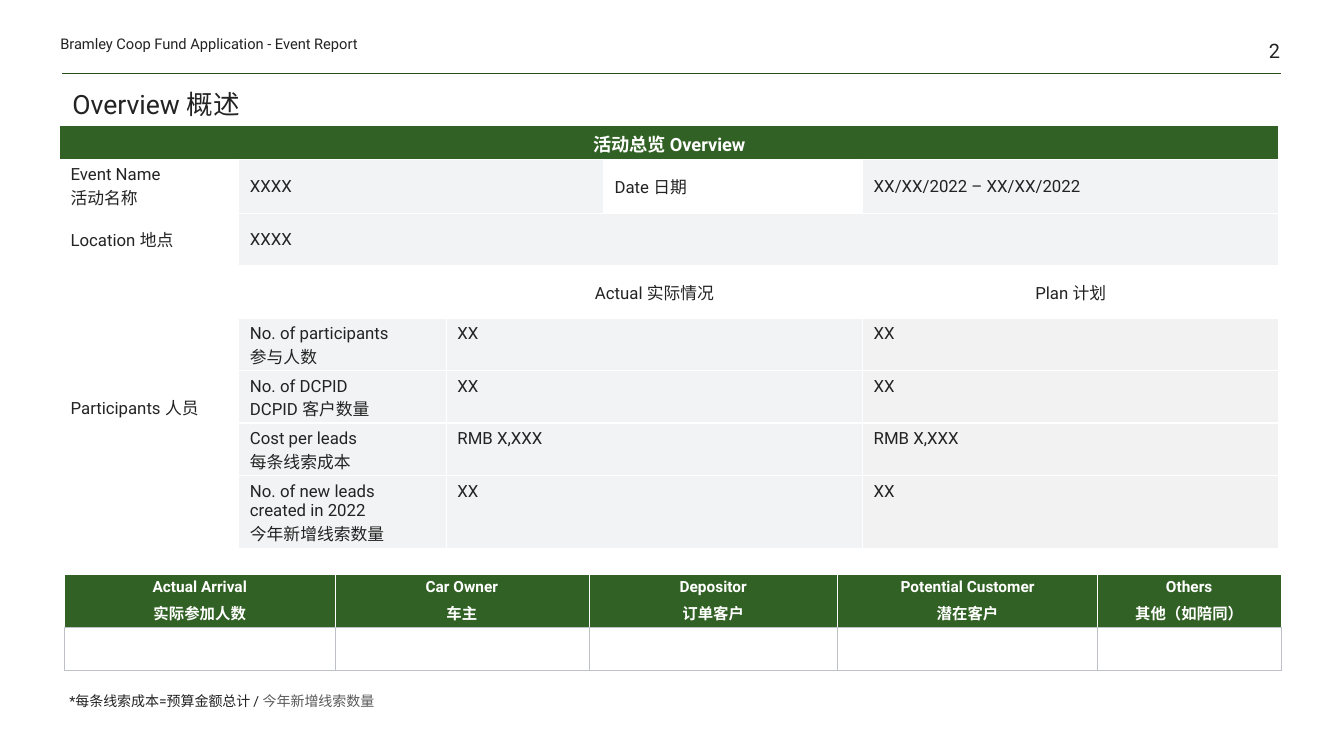
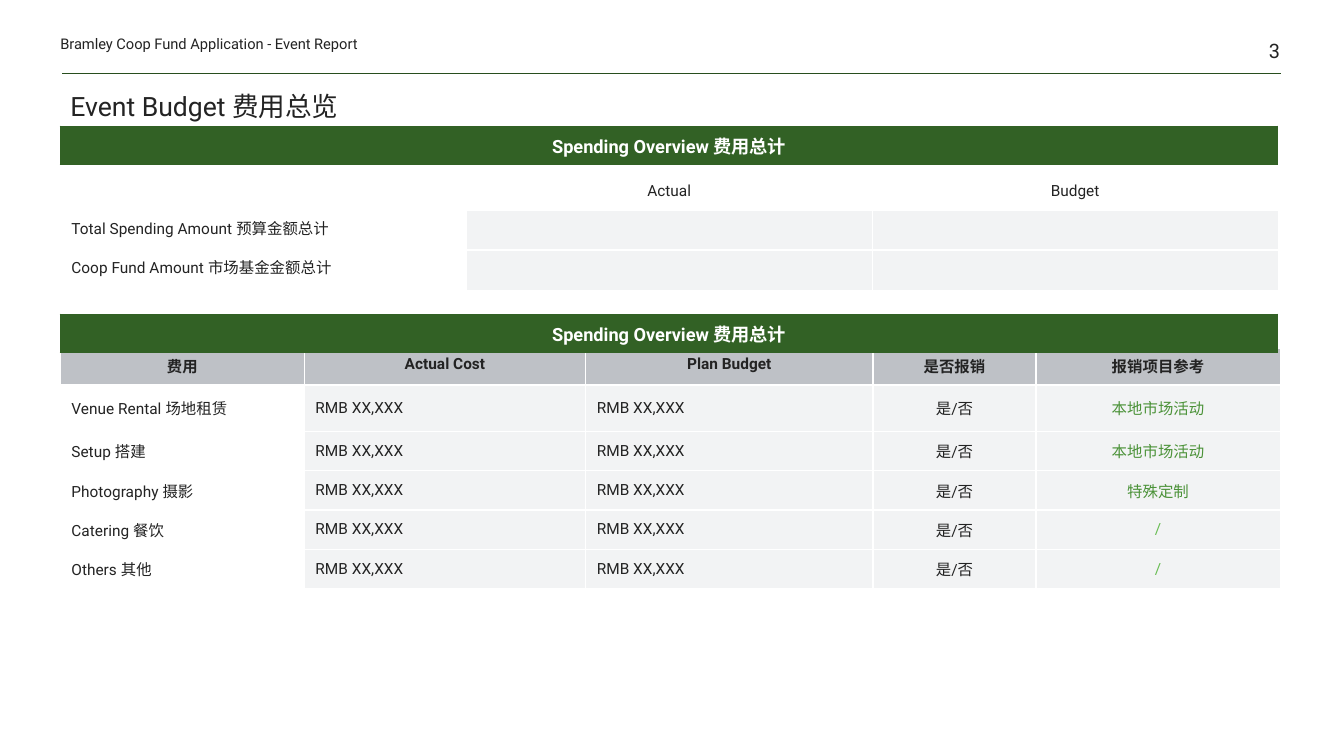
"""Build the overview and budget slides of an event report."""
import lxml.etree
import pptx
import pptx.dml.color
import pptx.enum.shapes
import pptx.enum.text
import pptx.oxml.ns
import pptx.util

Cm = pptx.util.Cm
Pt = pptx.util.Pt
RGBColor = pptx.dml.color.RGBColor
ALIGN = pptx.enum.text.PP_ALIGN
ANCHOR = pptx.enum.text.MSO_ANCHOR
qn = pptx.oxml.ns.qn

INK = RGBColor(0x23, 0x23, 0x23)
NOTE_GRAY = RGBColor(0x5A, 0x5A, 0x5A)
WHITE = RGBColor(0xFF, 0xFF, 0xFF)
BAND_GREEN = RGBColor(0x32, 0x61, 0x25)
RULE_GREEN = RGBColor(0x28, 0x4E, 0x1E)
ITEM_GREEN = RGBColor(0x4B, 0x92, 0x38)
SLASH_GREEN = RGBColor(0x67, 0xBC, 0x51)
CELL_GRAY = RGBColor(0xF2, 0xF3, 0xF4)
PLAN_GRAY = RGBColor(0xF2, 0xF2, 0xF2)
LINE_GRAY = RGBColor(0xBE, 0xC1, 0xC6)
LATIN_FONT = "Roboto"
CHINESE_FONT = "Noto Sans CJK SC"


def write(holder, text, size=11, color=INK, bold=False, align=ALIGN.LEFT,
          fill=None, gap=0, line_spacing=None, tail="", tail_color=NOTE_GRAY):
    """Write lines of text into a shape or table cell, with an optional tail."""
    if fill is not None:
        holder.fill.solid()
        holder.fill.fore_color.rgb = fill
    frame = holder.text_frame
    frame.word_wrap = True
    for index, line in enumerate(text.split("\n")):
        para = frame.add_paragraph() if index else frame.paragraphs[0]
        para.alignment = align
        para.font.size = Pt(size)
        if index and gap:
            para.space_before = Pt(gap)
        if line_spacing:
            para.line_spacing = line_spacing
        for words, words_color in ((line, color), (tail, tail_color)):
            if not words:
                continue
            span = para.add_run()
            span.text = words
            span.font.size = Pt(size)
            span.font.bold = bold
            span.font.color.rgb = words_color
            span.font.name = LATIN_FONT
            east = lxml.etree.SubElement(span.font._element, qn("a:ea"))
            east.set("typeface", CHINESE_FONT)


def add_grid(page, left, top, widths, heights, margins=(0.28, 0.15),
             line_colors=None, line_width=1):
    """Add an unfilled table with one border colour per row, sizes in cm."""
    frame = page.shapes.add_table(len(heights), len(widths), Cm(left), Cm(top),
                                  Cm(sum(widths)), Cm(sum(heights)))
    table = frame.table
    table.first_row = table.horz_banding = False
    for column, width in zip(table.columns, widths):
        column.width = Cm(width)
    for index, (row, height) in enumerate(zip(table.rows, heights)):
        row.height = Cm(height)
        color = line_colors[index] if line_colors else WHITE
        for cell in row.cells:
            cell.margin_left = cell.margin_right = Cm(margins[0])
            cell.margin_top = cell.margin_bottom = Cm(margins[1])
            cell.vertical_anchor = ANCHOR.MIDDLE
            cell.text_frame.paragraphs[0].font.size = Pt(11)
            properties = cell._tc.get_or_add_tcPr()
            for side in ("a:lnL", "a:lnR", "a:lnT", "a:lnB"):
                border = lxml.etree.SubElement(properties, qn(side), w=str(Pt(line_width)))
                paint = lxml.etree.SubElement(border, qn("a:solidFill"))
                lxml.etree.SubElement(paint, qn("a:srgbClr"), val=str(color))
            cell.fill.background()
    return table


deck = pptx.Presentation()
deck.slide_width = Cm(33.87)
deck.slide_height = Cm(19.05)

titles = [
    ("Overview 概述", (1.57, 2.13, 30.71, 1.02)),
    ("Event Budget 费用总览", (1.52, 1.88, 30.68, 1.32)),
]
pages = []
for number, (title_text, place) in enumerate(titles, start=2):
    page = deck.slides.add_slide(deck.slide_layouts[5])
    pages.append(page)

    rule = page.shapes.add_connector(pptx.enum.shapes.MSO_CONNECTOR.STRAIGHT,
                                     Cm(1.57), Cm(1.85), Cm(32.28), Cm(1.85))
    rule.line.color.rgb = RULE_GREEN
    rule.line.width = Pt(0.5)
    lxml.etree.SubElement(rule._element.spPr, qn("a:effectLst"))

    title = page.shapes.title
    title.left, title.top, title.width, title.height = map(Cm, place)
    title.text_frame.auto_size = pptx.enum.text.MSO_AUTO_SIZE.NONE
    title.text_frame.vertical_anchor = ANCHOR.BOTTOM
    write(title, title_text, size=19, line_spacing=0.85)

    corner_texts = [
        ("Bramley Coop Fund Application - Event Report", (1.52, 0.74, 10.59, 0.58), 10.5, ALIGN.LEFT),
        (str(number), (30.15, 0, 2.11, 1.57), 14.2, ALIGN.RIGHT),
    ]
    for text, place, size, align in corner_texts:
        box = page.shapes.add_textbox(*map(Cm, place))
        frame = box.text_frame
        frame.margin_left = frame.margin_right = frame.margin_top = frame.margin_bottom = 0
        frame.vertical_anchor = ANCHOR.BOTTOM
        write(box, text, size=size, align=align)

overview_page, budget_page = pages

overview = add_grid(overview_page, 1.5, 3.15, [4.52, 5.23, 3.96, 6.53, 10.49],
                    [0.86, 1.37] + [1.32] * 5 + [1.85])
merges = [(0, 0, 0, 4), (1, 1, 1, 2), (2, 1, 2, 4), (3, 0, 7, 0)]
merges += [(row, 2, row, 3) for row in range(3, 8)]
for first_row, first_column, last_row, last_column in merges:
    overview.cell(first_row, first_column).merge(overview.cell(last_row, last_column))
write(overview.cell(0, 0), "活动总览 Overview", size=13, color=WHITE, bold=True,
      align=ALIGN.CENTER, fill=BAND_GREEN)
overview_cells = [
    (1, 0, "Event Name\n活动名称", ALIGN.LEFT, None),
    (1, 1, "XXXX", ALIGN.LEFT, CELL_GRAY),
    (1, 3, "Date 日期", ALIGN.LEFT, None),
    (1, 4, "XX/XX/2022 – XX/XX/2022", ALIGN.LEFT, CELL_GRAY),
    (2, 0, "Location 地点", ALIGN.LEFT, None),
    (2, 1, "XXXX", ALIGN.LEFT, CELL_GRAY),
    (3, 0, "Participants 人员", ALIGN.LEFT, None),
    (3, 2, "Actual 实际情况", ALIGN.CENTER, None),
    (3, 4, "Plan 计划", ALIGN.CENTER, None),
]
for row, column, text, align, fill in overview_cells:
    write(overview.cell(row, column), text, size=12, align=align, fill=fill)
measures = [
    ("No. of participants\n参与人数", "XX"),
    ("No. of DCPID\nDCPID 客户数量", "XX"),
    ("Cost per leads\n每条线索成本", "RMB X,XXX"),
    ("No. of new leads created in 2022\n今年新增线索数量", "XX"),
]
for row, (label, value) in enumerate(measures, start=4):
    for column, text, fill in ((1, label, CELL_GRAY), (2, value, CELL_GRAY), (4, value, PLAN_GRAY)):
        cell = overview.cell(row, column)
        cell.vertical_anchor = ANCHOR.TOP
        write(cell, text, size=12, fill=fill)

arrivals = add_grid(overview_page, 1.63, 14.48, [6.81, 6.4, 6.27, 6.55, 4.62], [1.32, 1.1],
                    margins=(0.13, 0.08), line_colors=[WHITE, LINE_GRAY], line_width=0.5)
guest_types = ["Actual Arrival\n实际参加人数", "Car Owner\n车主", "Depositor\n订单客户",
               "Potential Customer\n潜在客户", "Others\n其他（如陪同）"]
for column, text in enumerate(guest_types):
    write(arrivals.cell(0, column), text, color=WHITE, bold=True, align=ALIGN.CENTER,
          fill=BAND_GREEN, gap=4)

footnote = overview_page.shapes.add_textbox(Cm(1.5), Cm(17.32), Cm(14.22), Cm(0.69))
write(footnote, "*每条线索成本=预算金额总计 / ", size=10, tail="今年新增线索数量")

totals = add_grid(budget_page, 1.52, 4.32, [10.23] * 3, [0.99, 0.99, 1.02])
for column, text in enumerate(["Actual", "Budget"], start=1):
    write(totals.cell(0, column), text, align=ALIGN.CENTER)
for row, text in enumerate(["Total Spending Amount 预算金额总计",
                            "Coop Fund Amount 市场基金金额总计"], start=1):
    totals.cell(row, 0).vertical_anchor = ANCHOR.TOP
    write(totals.cell(row, 0), text)
    for column in (1, 2):
        write(totals.cell(row, column), "", fill=CELL_GRAY)

costs = add_grid(budget_page, 1.52, 8.79, [6.15, 7.09, 7.24, 4.11, 6.15],
                 [0.91, 1.17] + [0.99] * 4)
for column, text in enumerate(["费用", "Actual Cost", "Plan Budget", "是否报销", "报销项目参考"]):
    costs.cell(0, column).vertical_anchor = ANCHOR.TOP
    write(costs.cell(0, column), text, bold=True, align=ALIGN.CENTER, fill=LINE_GRAY)
expenses = [
    ("Venue Rental 场地租赁", "本地市场活动"),
    ("Setup 搭建", "本地市场活动"),
    ("Photography 摄影", "特殊定制"),
    ("Catering 餐饮", "/"),
    ("Others 其他", "/"),
]
for row, (label, item) in enumerate(expenses, start=1):
    write(costs.cell(row, 0), label)
    for column in (1, 2):
        write(costs.cell(row, column), "RMB XX,XXX", fill=CELL_GRAY)
    write(costs.cell(row, 3), "是/否", align=ALIGN.CENTER, fill=CELL_GRAY)
    write(costs.cell(row, 4), item, color=SLASH_GREEN if item == "/" else ITEM_GREEN,
          align=ALIGN.CENTER, fill=CELL_GRAY)

for top in (3.18, 7.92):
    band = add_grid(budget_page, 1.52, top, [30.68], [0.96], line_colors=[BAND_GREEN])
    write(band.cell(0, 0), "Spending Overview 费用总计", size=13, color=WHITE, bold=True,
          align=ALIGN.CENTER, fill=BAND_GREEN)

deck.save("out.pptx")
